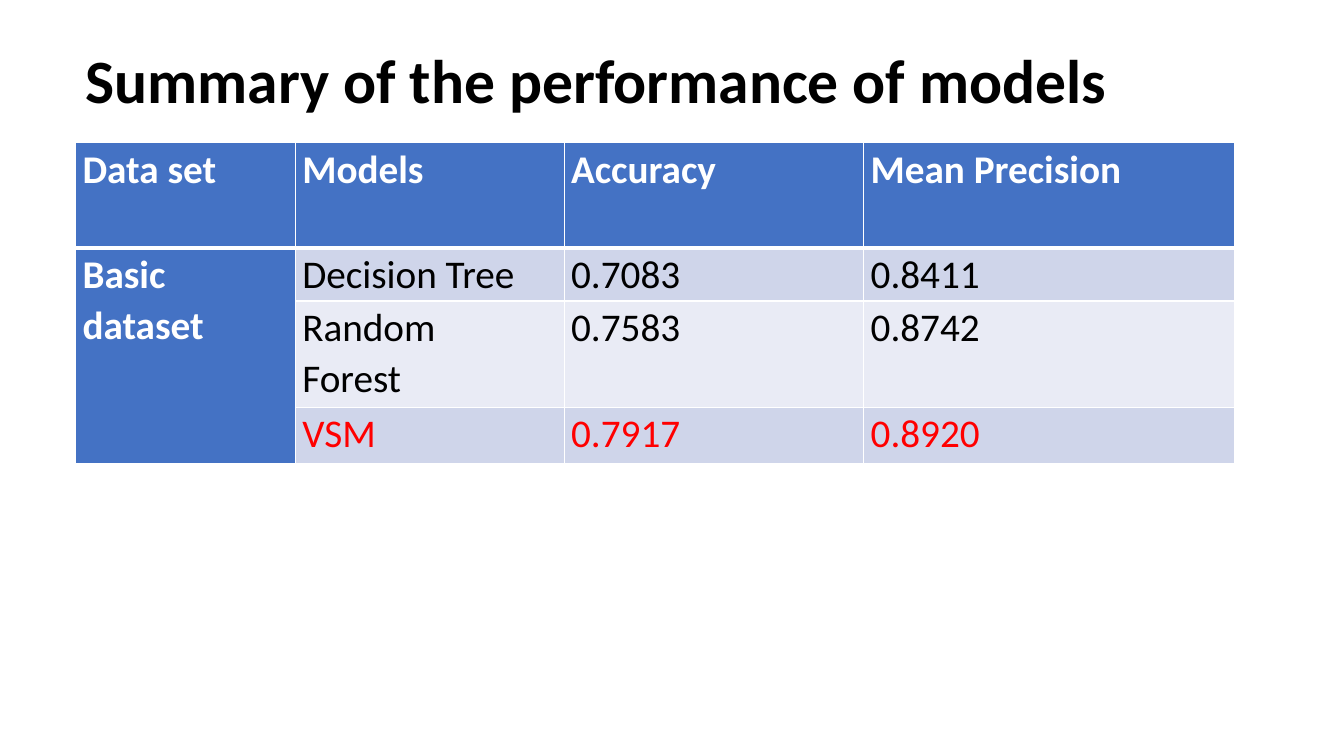
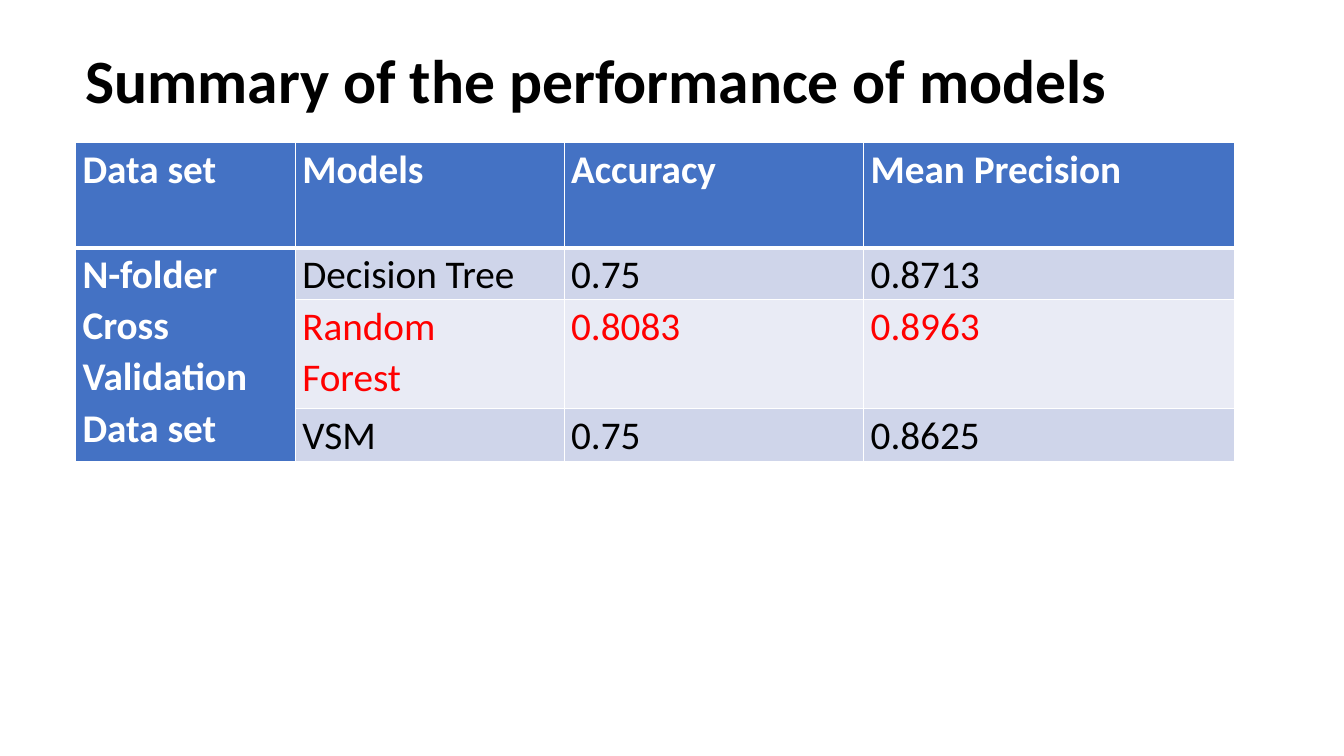
from pptx import Presentation
from pptx.dml.color import RGBColor as RGB
from pptx.enum.text import MSO_ANCHOR as ANCHOR, MSO_AUTO_SIZE as AUTO, PP_ALIGN as ALIGN
from pptx.oxml import parse_xml
from pptx.oxml.ns import nsdecls
from pptx.util import Pt


class Theme:
    font = "Calibri"
    black = RGB.from_string("000000")
    white = RGB.from_string("FFFFFF")
    red = RGB.from_string("FF0000")
    blue = RGB.from_string("4472C4")
    bands = [RGB.from_string("CFD5EA"), RGB.from_string("E9EBF5")]
    title_size = Pt(44)
    table_size = Pt(28)


def write(tf, text, size=Theme.table_size, color=Theme.black, bold=False, spacing=1.07):
    tf.text = text
    for p in tf.paragraphs:
        p.alignment = ALIGN.LEFT
        p.line_spacing = spacing
        p.space_before = p.space_after = Pt(0)
        for r in p.runs:
            r.font.name = Theme.font
            r.font.size = size
            r.font.bold = bold
            r.font.color.rgb = color


def add_borders(cell, **widths):
    tcPr = cell._tc.get_or_add_tcPr()
    for i, (side, width) in enumerate(widths.items()):
        tcPr.insert(i, parse_xml(
            f'<a:ln{side} {nsdecls("a")} w="{Pt(width)}"><a:solidFill>'
            f'<a:srgbClr val="{Theme.white}"/></a:solidFill></a:ln{side}>'))


prs = Presentation()
prs.slide_width, prs.slide_height = Pt(960), Pt(540)

title = "Summary of the performance of models"
header = ["Data set", "Models", "Accuracy", "Mean Precision"]
models = ["Decision Tree", "Random\nForest", "VSM"]
col_widths = [157, 192, 214, 265]
results = [
    dict(dataset="Basic dataset", best="VSM", heights=[75, 38, 76, 40],
         scores=[("0.7083", "0.8411"), ("0.7583", "0.8742"), ("0.7917", "0.8920")]),
    dict(dataset="N-folder Cross Validation\nData set", best="Random\nForest",
         heights=[75, 37, 78, 38],
         scores=[("0.75", "0.8713"), ("0.8083", "0.8963"), ("0.75", "0.8625")]),
]

for result in results:
    slide = prs.slides.add_slide(prs.slide_layouts[5])
    sp = slide.shapes.title
    sp.left, sp.top, sp.width, sp.height = Pt(54), Pt(8), Pt(828), Pt(104)
    tf = sp.text_frame
    tf.auto_size = AUTO.NONE
    tf.vertical_anchor = ANCHOR.MIDDLE
    write(tf, title, size=Theme.title_size, bold=True, spacing=0.9)

    rows = [header]
    for model, scores in zip(models, result["scores"]):
        rows.append([result["dataset"] if model == models[0] else "", model, *scores])

    heights = result["heights"]
    table = slide.shapes.add_table(len(rows), len(header), Pt(54), Pt(102),
                                   Pt(sum(col_widths)), Pt(sum(heights))).table
    for col, width in zip(table.columns, col_widths):
        col.width = Pt(width)
    for row, height in zip(table.rows, heights):
        row.height = Pt(height)

    for i, values in enumerate(rows):
        for j, value in enumerate(values):
            cell = table.cell(i, j)
            heading = i == 0 or j == 0
            cell.margin_left = cell.margin_right = Pt(5)
            cell.margin_top = cell.margin_bottom = Pt(0)
            cell.fill.solid()
            cell.fill.fore_color.rgb = Theme.blue if heading else Theme.bands[(i - 1) % 2]
            add_borders(cell, L=1, R=1, T=3 if i == 1 else 1, B=3 if i == 0 else 1)
            if heading:
                color = Theme.white
            else:
                color = Theme.red if values[1] == result["best"] else Theme.black
            write(cell.text_frame, value, color=color, bold=heading)
    table.cell(1, 0).merge(table.cell(len(models), 0))

prs.save("out.pptx")
